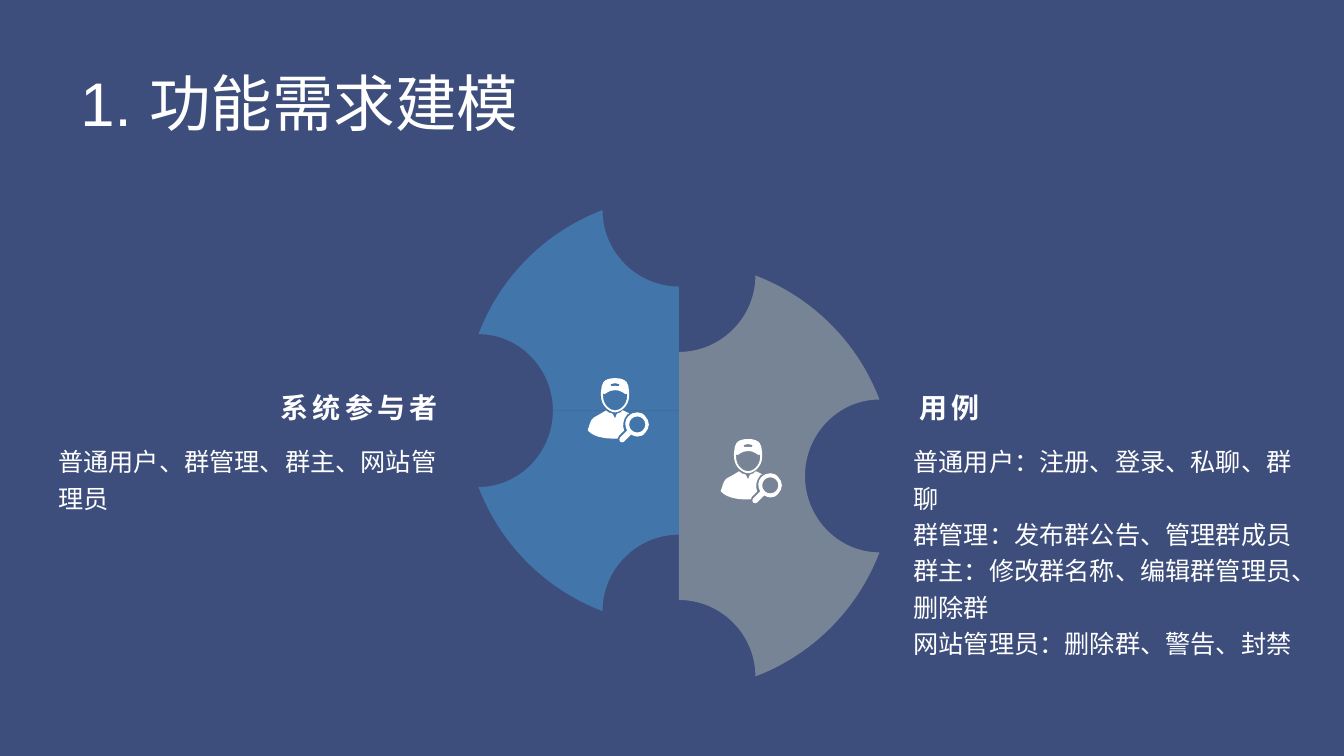
from math import atan2, hypot, pi, tan

from lxml.etree import SubElement
from pptx import Presentation
from pptx.dml.color import RGBColor
from pptx.enum.text import MSO_ANCHOR as Anchor, PP_ALIGN as Align
from pptx.oxml.ns import qn
from pptx.util import Pt

NAVY = RGBColor(0x3E, 0x4E, 0x7C)
BLUE = RGBColor(0x42, 0x76, 0xAA)
GREY = RGBColor(0x77, 0x84, 0x95)
WHITE = RGBColor(0xFF, 0xFF, 0xFF)
CJK_FONT = "Noto Sans CJK SC"

deck = Presentation()
deck.slide_width, deck.slide_height = Pt(960), Pt(540)
page = deck.slides.add_slide(deck.slide_layouts[6])
page.background.fill.solid()
page.background.fill.fore_color.rgb = NAVY


def add_outline(contours, origin, scale, color):
    """Draw a filled shape; segments of 2 numbers are lines, of 6 Bézier curves."""
    builder = None
    for contour in contours:
        points = [(Pt(origin[0] + scale[0] * x), Pt(origin[1] + scale[1] * y))
                  for segment in contour
                  for x, y in zip(segment[::2], segment[1::2])]
        if builder is None:
            builder = page.shapes.build_freeform(*points[0])
        else:
            builder.move_to(*points[0])
        builder.add_line_segments(points[1:], close=True)
    shape = builder.convert_to_shape()
    shape.shadow.inherit = False
    shape.fill.solid()
    shape.fill.fore_color.rgb = color
    shape.line.fill.background()
    # Join the three points of each curve into one Bézier element
    steps = iter(list(shape._element.iter(qn("a:lnTo"))))
    for contour in contours:
        for segment in contour[1:]:
            step = next(steps)
            if len(segment) == 6:
                step.tag = qn("a:cubicBezTo")
                for extra in (next(steps), next(steps)):
                    step.append(extra[0])
                    extra.getparent().remove(extra)


def add_text(bounds, lines, size, font="Arial", bold=False, spacing=0,
             anchor=Anchor.TOP, align=Align.LEFT, insets=(3.6, 3.6)):
    box = page.shapes.add_textbox(*map(Pt, bounds))
    frame = box.text_frame
    frame.word_wrap = True
    frame.vertical_anchor = anchor
    frame.margin_top, frame.margin_bottom = map(Pt, insets)
    for i, line in enumerate(lines):
        para = frame.paragraphs[0] if i == 0 else frame.add_paragraph()
        para.alignment = align
        para.line_spacing = 1.2
        span = para.add_run()
        span.text = line
        span.font.size = Pt(size)
        span.font.bold = bold
        span.font.color.rgb = WHITE
        span.font.name = font
        props = span.font._element
        SubElement(props, qn("a:ea")).set("typeface", CJK_FONT)
        if spacing:
            props.set("spc", str(spacing * 100))


add_text((50.4, 37.4, 791.3, 60.5), ["1. 功能需求建模"], 44, anchor=Anchor.MIDDLE)

# Gear halves: each quarter has a notch on both axes and a round rim between
SEAM, REACH, NOTCH, SIDE_DEPTH = 485, 143.2, 54.6, 53.2
ROUND = 0.55
RIM = 4 / 3 * tan((pi / 2 - 2 * atan2(NOTCH, REACH)) / 4)
inner = REACH - NOTCH
side_inner = REACH - SIDE_DEPTH
bend = ROUND * NOTCH
quarter = [
    (0, 0), (0, inner),
    (bend, inner, NOTCH, REACH - bend, NOTCH, REACH),
    (NOTCH + RIM * REACH, REACH - RIM * NOTCH,
     REACH - RIM * NOTCH, NOTCH + RIM * REACH, REACH, NOTCH),
    (REACH - ROUND * SIDE_DEPTH, NOTCH, side_inner, bend, side_inner, 0),
]
for side, middle, color in ((1, 340, GREY), (-1, 293.3, BLUE)):
    for half in (-1, 1):
        add_outline([quarter], (SEAM, middle), (side, half), color)

# User icon in hundredths of an inch
LENS = [(49, 38), (53.4, 38, 57, 41.6, 57, 46), (57, 50.4, 53.4, 54, 49, 54),
        (44.6, 54, 41, 50.4, 41, 46), (41, 41.6, 44.6, 38, 49, 38)]
MAGNIFIER = [(49, 34), (52, 34, 55, 35, 57, 38), (59, 40, 60.5, 43, 60.5, 46),
             (60.5, 49, 59, 52, 57, 54), (55, 57, 52, 58, 49, 58),
             (47, 58, 45, 57, 43, 56), (36, 63), (35, 64, 33, 64, 32, 63),
             (31, 62, 31, 60, 32, 59), (39, 52), (36, 47, 37, 41, 40, 38),
             (43, 35, 46, 34, 49, 34)]
BODY = [(18, 32), (20, 34, 22, 35, 24, 35), (25, 36), (27, 40), (28.5, 36),
        (29.5, 35), (31, 35, 33, 34, 34.5, 32), (35, 32),
        (37, 33, 39, 34, 41, 35), (40, 35, 39.5, 36, 39, 36),
        (35, 41, 34, 47, 36, 52), (31, 57), (30, 58, 30, 59, 29.5, 60),
        (29, 60, 28, 60, 27, 60), (4, 60, 1, 52, 0, 52), (0, 51),
        (1, 50, 2, 41, 6, 39), (8, 38, 15, 34, 18, 32)]
FACE = [(27, 12), (20, 12, 18, 16, 16, 16), (15, 16, 15, 14, 15, 14),
        (15, 15, 15, 16, 15, 17), (15, 23, 17, 26, 19.5, 28.5),
        (22, 31, 25, 32, 27, 32), (29, 32, 32, 31, 34.5, 28.5),
        (37, 26, 39, 23, 39, 17), (39, 16, 39, 15, 39, 14),
        (39, 14, 39, 16, 38, 16), (36, 16, 34, 12, 27, 12)]
BADGE = [(27, 5), (25, 5, 24, 5, 22.5, 6), (22.5, 7, 23, 7.5, 23.3, 8),
         (26, 7.7, 28, 7.7, 30.7, 8), (31, 7.5, 31.5, 7, 31.5, 6),
         (30, 5, 29, 5, 27, 5)]
HEAD = [(27, 0), (33, 0, 36.5, 1.5, 38.5, 4), (40, 6.5, 40.7, 9, 40.7, 12),
        (41, 13, 41, 15, 41, 17), (41, 29, 31, 34, 27, 34),
        (23, 34, 13, 29, 13, 17), (13, 15, 13, 13, 13.3, 12),
        (13.3, 9, 14, 6.5, 15.5, 4), (17.5, 1.5, 21, 0, 27, 0)]
for origin in ((514.9, 313.6), (419.9, 270.1)):
    add_outline([LENS, MAGNIFIER, BODY, FACE, BADGE, HEAD], origin, (0.72, 0.72), WHITE)

ACTORS = ["普通用户、群管理、群主、网站管理员"]
USE_CASES = ["普通用户：注册、登录、私聊、群聊", "群管理：发布群公告、管理群成员",
             "群主：修改群名称、编辑群管理员、删除群", "网站管理员：删除群、警告、封禁"]
for heading, heading_left, align, lines, left, width, height in (
        ("系统参与者", 34.6, Align.RIGHT, ACTORS, 34.6, 285.1, 61.2),
        ("用例", 649.8, Align.LEFT, USE_CASES, 645.4, 289.8, 157)):
    add_text((heading_left, 266, 285.1, 36.7), [heading], 20, CJK_FONT, True, 3,
             Anchor.BOTTOM, align, (3.6, 0))
    add_text((left, 314.8, width, height), lines, 18, insets=(0, 3.6))

deck.save("out.pptx")
